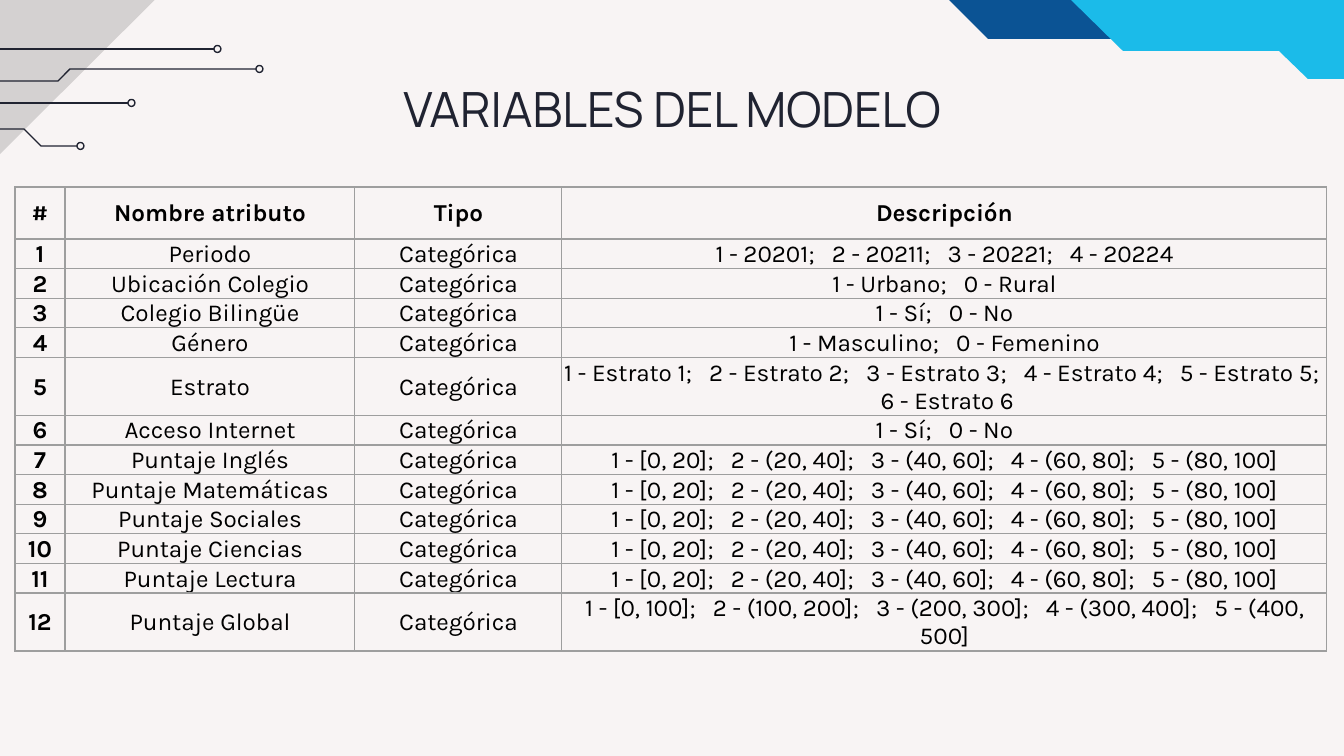
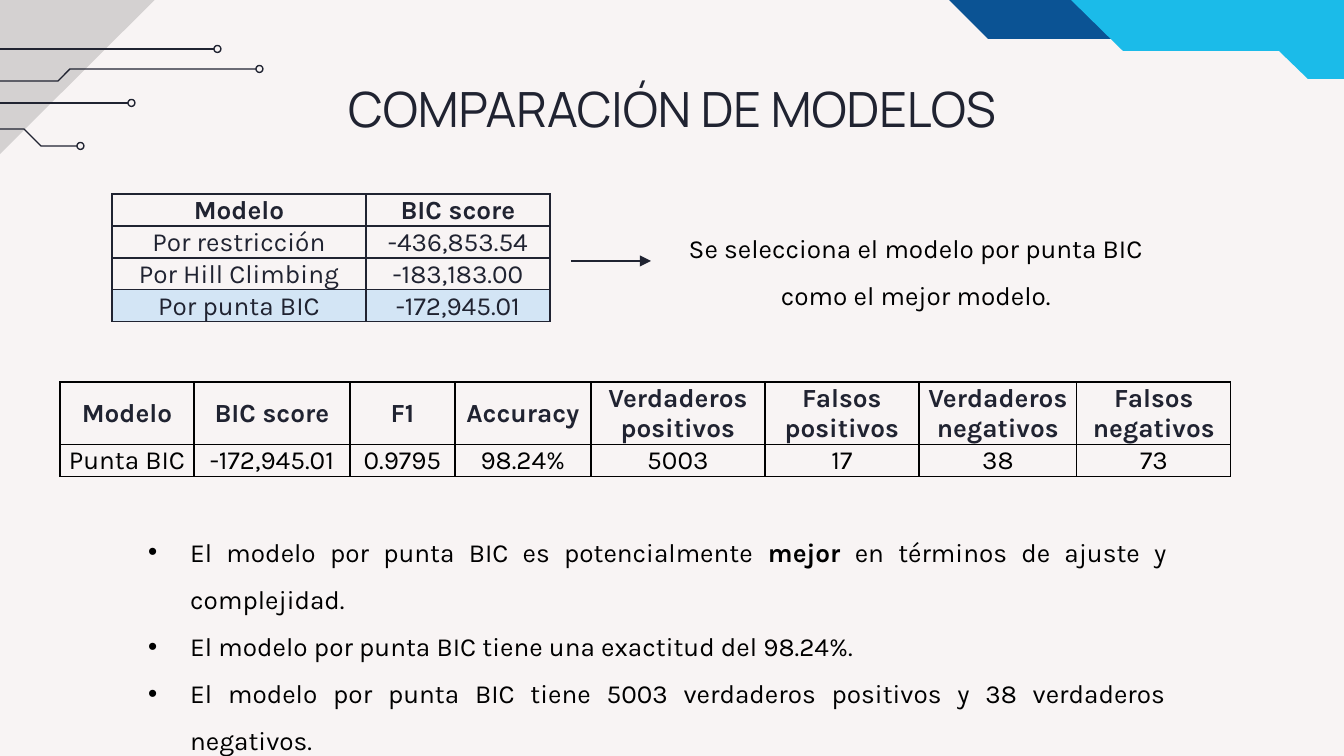
import dataclasses

import pptx
import pptx.dml.color
import pptx.enum.dml
import pptx.enum.shapes
import pptx.enum.text
import pptx.oxml
import pptx.oxml.ns
import pptx.util

PX = 914400 / 134.4
CENTER = pptx.enum.text.PP_ALIGN.CENTER
JUSTIFY = pptx.enum.text.PP_ALIGN.JUSTIFY
MIDDLE = pptx.enum.text.MSO_ANCHOR.MIDDLE
BOTTOM = pptx.enum.text.MSO_ANCHOR.BOTTOM


@dataclasses.dataclass(frozen=True)
class Theme:
    paper: str = "F8F4F4"
    ink: str = "202331"
    black: str = "000000"
    rule: str = "9E9E9E"
    navy: str = "0B5394"
    cyan: str = "1BBBE9"
    highlight: str = "D3E5F5"
    heading_font: str = "Manrope"
    body_font: str = "Karla"
    title_size: int = 26
    body_size: int = 14
    small_size: int = 13
    hairline: float = 0.75
    cell_inset: float = 0.75


THEME = Theme()

# Content shared by the slides: corner bands (outline, colour, opacity) and circuit traces,
# which bleed over the slide edges
BANDS = [
    ([(-234, -88), (243, -88), (-7, 161), (-234, 161)], THEME.black, 14),
    ([(949, 0), (1118, 0), (1157, 39), (988, 39)], THEME.navy, 100),
    ([(1531, 79), (1531, -234), (1000, -234), (1000, -4), (1067, -4),
      (1123, 51), (1279, 51), (1308, 79)], THEME.cyan, 100),
]
TRACES = [
    [(-222, 49), (214, 49)],
    [(-188, 81), (58, 81), (70, 69), (256, 69)],
    [(-97, 103), (128, 103)],
    [(-145, 129), (24, 129), (41, 146), (77, 146)],
]
RING = 7
TITLE_BOX = (106, 66, 1133, 85)

# Content of "Variables del modelo"
BINARY_CODES = (1, 0)
OPTION_GAP = ";   "


def score_ranges(step):
    return [f"{'(' if low else '['}{low}, {low + step}]" for low in range(0, 5 * step, step)]


VARIABLES = [
    ("Periodo", ["20201", "20211", "20221", "20224"]),
    ("Ubicación Colegio", ["Urbano", "Rural"]),
    ("Colegio Bilingüe", ["Sí", "No"]),
    ("Género", ["Masculino", "Femenino"]),
    ("Estrato", [f"Estrato {level}" for level in range(1, 7)]),
    ("Acceso Internet", ["Sí", "No"]),
    *((f"Puntaje {subject}", score_ranges(20))
      for subject in ("Inglés", "Matemáticas", "Sociales", "Ciencias", "Lectura")),
    ("Puntaje Global", score_ranges(100)),
]


def describe(options):
    """List the options with their codes; two options are coded 1 and 0."""
    codes = BINARY_CODES if len(options) == 2 else range(1, len(options) + 1)
    return OPTION_GAP.join(f"{code} - {option}" for code, option in zip(codes, options))


VARIABLE_TABLE = dict(
    at=(15, 187),
    columns=[50, 290, 207, 765],
    heights=[52] + [28] * len(VARIABLES),
    rows=[("#", "Nombre atributo", "Tipo", "Descripción")] + [
        (str(number), name, "Categórica", describe(options))
        for number, (name, options) in enumerate(VARIABLES, 1)],
    size=THEME.small_size, header_color=THEME.black, body_color=THEME.black,
    border=(THEME.rule, THEME.hairline), anchor=MIDDLE, bold_first_column=True,
)

# Content of "Comparación de modelos"
BIC_TABLE = dict(
    at=(112, 194),
    columns=[254, 184],
    heights=[28] * 4,
    rows=[
        ("Modelo", "BIC score"),
        ("Por restricción", "-436,853.54"),
        ("Por Hill Climbing", "-183,183.00"),
        ("Por punta BIC", "-172,945.01"),
    ],
    size=THEME.body_size, header_color=THEME.ink, body_color=THEME.ink,
    border=(THEME.ink, 1), anchor=BOTTOM, highlighted_row=3,
)
METRICS_TABLE = dict(
    at=(60, 382),
    columns=[134, 156, 105, 136, 174, 154, 158, 154],
    heights=[28] * 2,
    rows=[
        ("Modelo", "BIC score", "F1", "Accuracy", "Verdaderos positivos",
         "Falsos positivos", "Verdaderos negativos", "Falsos negativos"),
        ("Punta BIC", "-172,945.01", "0.9795", "98.24%", "5003", "17", "38", "73"),
    ],
    size=THEME.body_size, header_color=THEME.ink, body_color=THEME.black,
    border=(THEME.black, THEME.hairline), anchor=MIDDLE,
)
# Each paragraph is a list of (text, bold) runs
SELECTION = [[("Se selecciona el modelo por punta BIC como el mejor modelo.", False)]]
CONCLUSIONS = [
    [("El modelo por punta BIC es potencialmente ", False), ("mejor", True),
     (" en términos de ajuste y complejidad.", False)],
    [("El modelo por punta BIC tiene una exactitud del 98.24%.", False)],
    [("El modelo por punta BIC tiene 5003 verdaderos positivos y 38 verdaderos negativos.", False)],
]
SELECTION_BOX = (651, 210, 530, 102)
SELECTION_ARROW = [(571, 261), (651, 261)]
CONCLUSIONS_BOX = (135, 514, 1045, 198)
BULLET_INDENT = 42


def px(*lengths):
    return [pptx.util.Emu(round(length * PX)) for length in lengths]


def rgb(color):
    return pptx.dml.color.RGBColor.from_string(color)


def assign(target, **values):
    for name, value in values.items():
        setattr(target, name, value)


def sub_element(parent, tag, **attributes):
    child = parent.makeelement(pptx.oxml.ns.qn(tag), attributes)
    parent.append(child)
    return child


def set_font(font, size, color, bold=False, name=THEME.body_font):
    assign(font, size=pptx.util.Pt(size), bold=bold, name=name)
    font.color.rgb = rgb(color)


def paint(shape, color=None, opacity=100, outline=None):
    shape.shadow.inherit = False
    if color:
        shape.fill.solid()
        shape.fill.fore_color.rgb = rgb(color)
        if opacity < 100:
            solid = shape.fill._xPr.find(pptx.oxml.ns.qn("a:solidFill"))
            sub_element(solid[0], "a:alpha", val=str(opacity * 1000))
    else:
        shape.fill.background()
    if outline:
        set_line(shape.line, outline)
    else:
        shape.line.fill.background()


def set_line(line, color):
    line.color.rgb = rgb(color)
    line.width = pptx.util.Pt(THEME.hairline)


def add_outline(slide, points, close):
    builder = slide.shapes.build_freeform(*points[0], scale=PX)
    builder.add_line_segments(points[1:], close=close)
    return builder.convert_to_shape()


def add_straight(slide, start, end, arrow=False):
    connector = slide.shapes.add_connector(
        pptx.enum.shapes.MSO_CONNECTOR.STRAIGHT, *px(*start, *end))
    set_line(connector.line, THEME.ink)
    if arrow:
        sub_element(connector.line._get_or_add_ln(), "a:tailEnd", type="triangle")
    sub_element(connector._element.spPr, "a:effectLst")


def add_corners(slide):
    for points, color, opacity in BANDS:
        paint(add_outline(slide, points, close=True), color, opacity)
    for points in TRACES:
        if len(points) == 2:
            add_straight(slide, *points)
        else:
            paint(add_outline(slide, points, close=False), outline=THEME.ink)
        x, y = points[-1]
        ring = slide.shapes.add_shape(
            pptx.enum.shapes.MSO_SHAPE.OVAL, *px(x, y - RING / 2, RING, RING))
        paint(ring, outline=THEME.ink)


def add_titled_slide(deck, heading):
    slide = deck.slides.add_slide(deck.slide_layouts[5])
    add_corners(slide)
    title = slide.shapes.title
    assign(title, **dict(zip(("left", "top", "width", "height"), px(*TITLE_BOX))))
    inset, = px(13)
    assign(title.text_frame, text=heading, vertical_anchor=MIDDLE, word_wrap=True,
           auto_size=pptx.enum.text.MSO_AUTO_SIZE.NONE, margin_left=inset,
           margin_top=inset, margin_right=inset, margin_bottom=inset)
    paragraph = title.text_frame.paragraphs[0]
    paragraph.alignment = CENTER
    set_font(paragraph.runs[0].font, THEME.title_size, THEME.ink, name=THEME.heading_font)
    return slide


def set_borders(cell, color, width):
    properties = cell._tc.get_or_add_tcPr()
    for side in ("a:lnL", "a:lnR", "a:lnT", "a:lnB"):
        edge = sub_element(properties, side, w=str(pptx.util.Pt(width)))
        sub_element(sub_element(edge, "a:solidFill"), "a:srgbClr", val=color)


def add_grid(slide, at, columns, heights, rows, size, header_color, body_color, border,
             anchor, bold_first_column=False, highlighted_row=None):
    grid = slide.shapes.add_table(
        len(rows), len(columns), *px(*at, sum(columns), sum(heights))).table
    assign(grid, first_row=False, horz_banding=False)
    for column, width in zip(grid.columns, px(*columns)):
        column.width = width
    for row, height in zip(grid.rows, px(*heights)):
        row.height = height
    inset = pptx.util.Pt(THEME.cell_inset)
    for r, values in enumerate(rows):
        for c, value in enumerate(values):
            cell = grid.cell(r, c)
            assign(cell, text=value, vertical_anchor=anchor, margin_left=inset,
                   margin_top=inset, margin_right=inset, margin_bottom=0)
            set_borders(cell, *border)
            if r == highlighted_row:
                cell.fill.solid()
                cell.fill.fore_color.rgb = rgb(THEME.highlight)
            else:
                cell.fill.background()
            paragraph = cell.text_frame.paragraphs[0]
            paragraph.alignment = CENTER
            set_font(paragraph.runs[0].font, size, body_color if r else header_color,
                     bold=r == 0 or (bold_first_column and c == 0))


def add_bullet(paragraph):
    properties = paragraph._p.get_or_add_pPr()
    indent, = px(BULLET_INDENT)
    properties.set("marL", str(indent))
    properties.set("indent", str(-indent))
    sub_element(sub_element(properties, "a:buClr"), "a:srgbClr", val=THEME.black)
    sub_element(properties, "a:buFont", typeface="Arial")
    sub_element(properties, "a:buChar", char="•")


def add_text(slide, box, paragraphs, alignment, bulleted=False):
    frame = slide.shapes.add_textbox(*px(*box)).text_frame
    assign(frame, word_wrap=True, auto_size=pptx.enum.text.MSO_AUTO_SIZE.SHAPE_TO_FIT_TEXT)
    for index, runs in enumerate(paragraphs):
        paragraph = frame.add_paragraph() if index else frame.paragraphs[0]
        assign(paragraph, alignment=alignment, line_spacing=1.5)
        if bulleted:
            add_bullet(paragraph)
        for text, bold in runs:
            run = paragraph.add_run()
            run.text = text
            set_font(run.font, THEME.body_size, THEME.black, bold)


def main():
    deck = pptx.Presentation()
    deck.slide_width, deck.slide_height = px(1344, 756)
    backdrop = deck.slide_master.background.fill
    backdrop.solid()
    backdrop.fore_color.rgb = rgb(THEME.paper)

    variables = add_titled_slide(deck, "VARIABLES DEL MODELO")
    add_grid(variables, **VARIABLE_TABLE)

    comparison = add_titled_slide(deck, "COMPARACIÓN DE MODELOS")
    add_grid(comparison, **BIC_TABLE)
    add_grid(comparison, **METRICS_TABLE)
    add_text(comparison, SELECTION_BOX, SELECTION, CENTER)
    add_straight(comparison, *SELECTION_ARROW, arrow=True)
    add_text(comparison, CONCLUSIONS_BOX, CONCLUSIONS, JUSTIFY, bulleted=True)

    deck.save("out.pptx")


if __name__ == "__main__":
    main()
